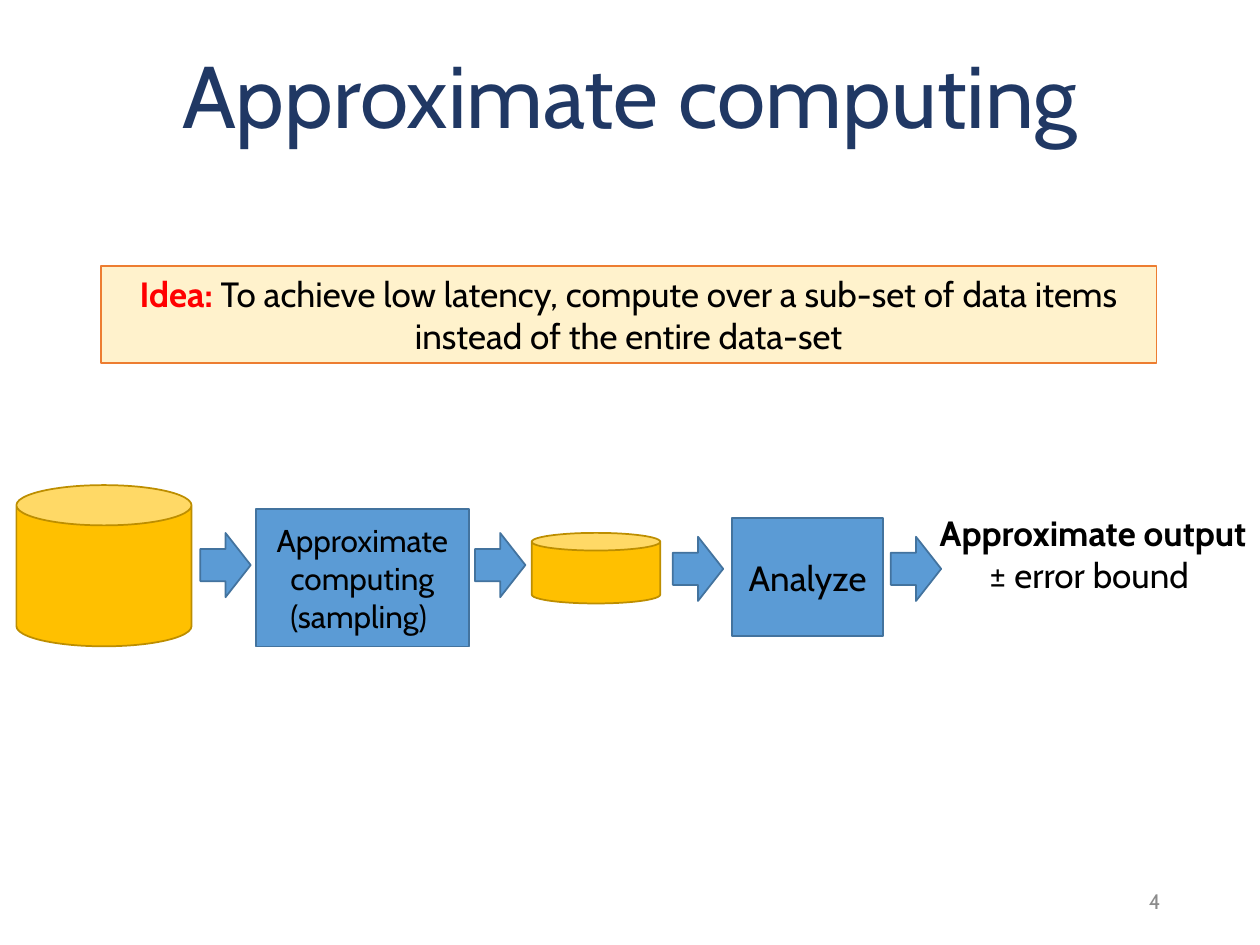
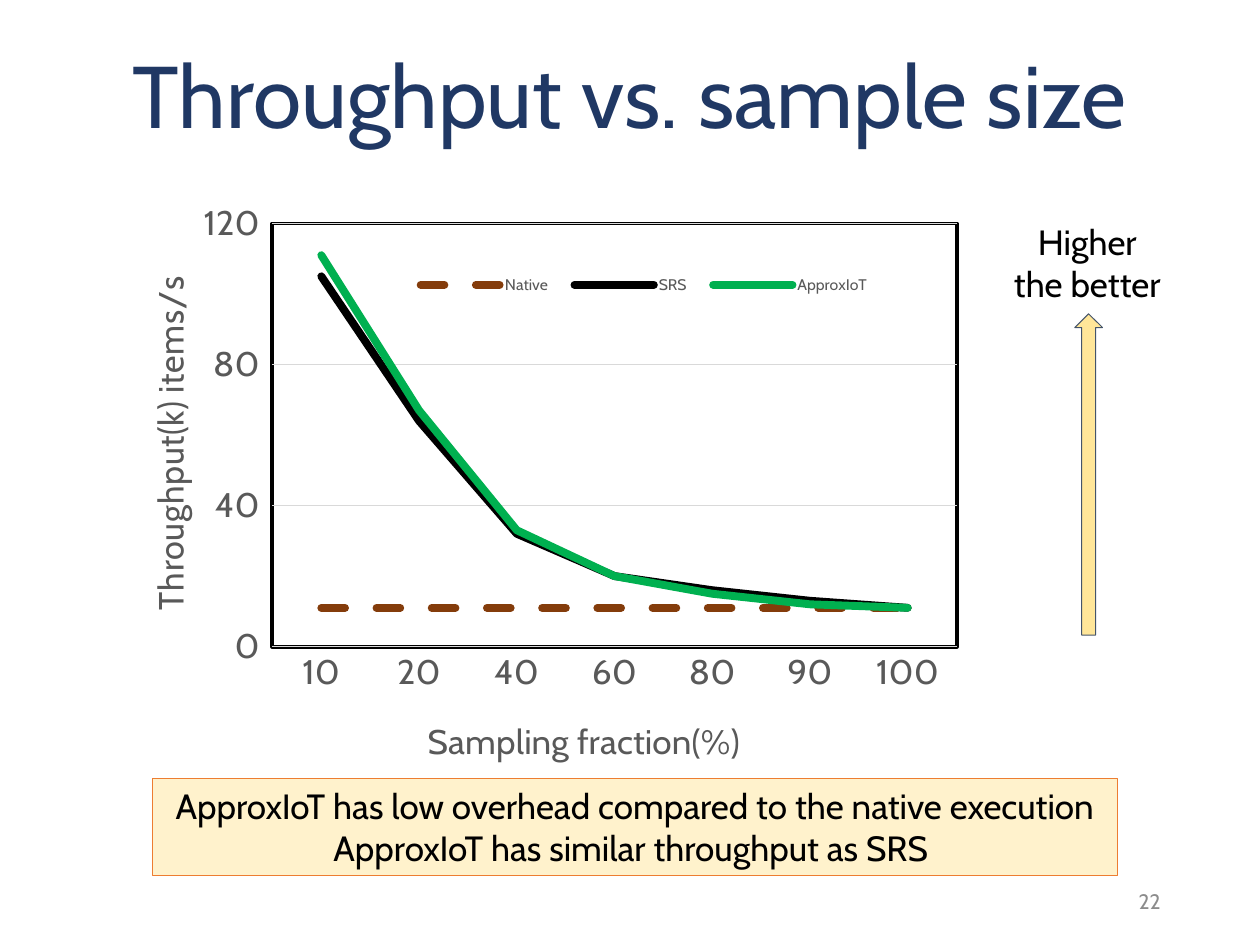
from lxml.etree import SubElement
from pptx import Presentation
from pptx.chart.data import CategoryChartData
from pptx.dml.color import RGBColor
from pptx.enum.chart import XL_CHART_TYPE as ChartType, XL_LEGEND_POSITION as LegendPosition, XL_TICK_MARK as TickMark
from pptx.enum.dml import MSO_LINE as Dash
from pptx.enum.shapes import MSO_SHAPE as Shape
from pptx.enum.text import MSO_ANCHOR as Anchor, PP_ALIGN as Align
from pptx.oxml import parse_xml
from pptx.oxml.ns import nsdecls, qn
from pptx.util import Inches, Pt

COLUMNS, ROWS = 20, 15
WIDTH, HEIGHT = Inches(10), Inches(7.5)
FONT = "Cabin"
BLACK, NAVY, RED, GREY, AXIS_GREY = "000000", "203864", "FF0000", "8C8C8C", "595959"
BLUE, BLUE_EDGE, GOLD, GOLD_EDGE = "5B9BD5", "43739E", "FFC000", "BD8E00"
CREAM, ORANGE, SAND, SLATE = "FFF2CC", "ED7D31", "FFE699", "44546A"
GRID_GREY, BROWN, GREEN = "D9D9D9", "843C0B", "00B050"


def color(value):
    return RGBColor.from_string(value)


def grid(left, top, width, height):
    column, row = WIDTH / COLUMNS, HEIGHT / ROWS
    return [round(n * unit) for n, unit in zip((left, top, width, height), (column, row) * 2)]


def style(font, size, tint, bold=False):
    font.name = FONT
    font.size = Pt(size)
    font.bold = bold
    font.color.rgb = color(tint)


def write(box, paragraphs, size=20, tint=BLACK, align=Align.CENTER, anchor=Anchor.MIDDLE, wrap=True):
    frame = box.text_frame
    frame.word_wrap = wrap
    frame.vertical_anchor = anchor
    frame.text = "\n".join(paragraphs)
    for para in frame.paragraphs:
        para.alignment = align
        for span in para.runs:
            style(span.font, size, tint)
    return frame


def add_lead(para, lead, tint):
    rest = para.text.removeprefix(lead)
    para.text = lead
    style(para.runs[0].font, 20, tint, bold=True)
    span = para.add_run()
    span.text = rest
    style(span.font, 20, BLACK)


def add_text(page, place, paragraphs, **look):
    return write(page.shapes.add_textbox(*grid(*place)), paragraphs, **look)


def add_block(page, kind, place, fill, edge, weight=1):
    block = page.shapes.add_shape(kind, *grid(*place))
    block.shadow.inherit = False
    block.fill.solid()
    block.fill.fore_color.rgb = color(fill)
    block.line.color.rgb = color(edge)
    block.line.width = Pt(weight)
    return block


def add_callout(page, place, paragraphs, weight):
    callout = add_block(page, Shape.RECTANGLE, place, CREAM, ORANGE, weight)
    return write(callout, paragraphs, anchor=Anchor.TOP)


def add_page(deck, title, number):
    page = deck.slides.add_slide(deck.slide_layouts[6])
    heading = add_text(page, (1.38, 0.6, 17.24, 1.98), [title], size=50, tint=NAVY)
    heading.paragraphs[0].line_spacing = 0.9
    add_text(page, (14.12, 13.9, 4.5, 0.8), [number], size=12, tint=GREY, align=Align.RIGHT)
    return page


def set_layout(element, index, target=None, **shares):
    for old in element.findall(qn("c:layout")):
        element.remove(old)
    layout = parse_xml(f"<c:layout {nsdecls('c')}><c:manualLayout/></c:layout>")
    manual = layout[0]
    if target:
        SubElement(manual, qn("c:layoutTarget")).set("val", target)
    for name in ("x", "y"):
        SubElement(manual, qn(f"c:{name}Mode")).set("val", "edge")
    for name, share in shares.items():
        SubElement(manual, qn(f"c:{name}")).set("val", str(share))
    element.insert(index, layout)


def style_axis(axis, title, x, y, rotation):
    style(axis.tick_labels.font, 20, AXIS_GREY)
    frame = axis.axis_title.text_frame
    frame.text = title
    style(frame.paragraphs[0].runs[0].font, 20, AXIS_GREY)
    body = frame._txBody.bodyPr
    body.set("rot", str(rotation * 60000))
    body.set("vert", "horz")
    set_layout(axis.axis_title._element, 1, x=x, y=y)


def style_series(series, tint):
    line = series.format.line
    line.color.rgb = color(tint)
    line.width = Pt(4.5)
    series.smooth = False
    if series.name == "Native":
        line.dash_style = Dash.DASH
    series._element.xpath("./c:spPr/a:ln")[0].set("cap", "rnd")


def frame_plot(chart):
    area = chart._chartSpace.chart.plotArea
    set_layout(area, 0, "inner", x=0.223, y=0.085, w=0.63, h=0.725)
    area.append(parse_xml(
        f'<c:spPr {nsdecls("c", "a")}><a:noFill/><a:ln w="{Pt(2.25)}"><a:solidFill>'
        f'<a:srgbClr val="{BLACK}"/></a:solidFill></a:ln></c:spPr>'))


def add_throughput_chart(page, place):
    data = CategoryChartData()
    data.categories = ["10", "20", "40", "60", "80", "90", "100"]
    data.add_series("Native", [11] * 7)
    data.add_series("SRS", [105, 64, 32, 20, 16, 13, 11])
    data.add_series("ApproxIoT", [111, 67, 33, 20, 15, 12, 11])
    chart = page.shapes.add_chart(ChartType.LINE, *grid(*place), data).chart
    style(chart.font, 10, BLACK)
    chart.has_title = False
    chart.plots[0].vary_by_categories = False
    for series, tint in zip(chart.plots[0].series, (BROWN, BLACK, GREEN)):
        style_series(series, tint)

    fractions, rates = chart.category_axis, chart.value_axis
    style_axis(fractions, "Sampling fraction(%)", 0.36, 0.92, 0)
    style_axis(rates, "Throughput(k) items/s", 0.1, 0.18, -90)
    fractions.major_tick_mark = TickMark.NONE
    rates.major_tick_mark = TickMark.OUTSIDE
    rates.minimum_scale, rates.maximum_scale, rates.major_unit = 0, 120, 40
    rates.format.line.fill.background()
    for line in (fractions.format.line, rates.major_gridlines.format.line):
        line.color.rgb = color(GRID_GREY)
        line.width = Pt(0.75)

    chart.has_legend = True
    chart.legend.position = LegendPosition.RIGHT
    chart.legend.include_in_layout = False
    style(chart.legend.font, 9, AXIS_GREY)
    set_layout(chart.legend._element, 1, x=0.34, y=0.16, w=0.45, h=0.06)
    frame_plot(chart)


def build_pipeline(deck):
    page = add_page(deck, "Approximate computing", "4")
    idea = add_callout(page, (1.6, 4.22, 16.76, 1.54), [
        "Idea: To achieve low latency, compute over a sub-set of data items instead of the entire data-set"], 1)
    add_lead(idea.paragraphs[0], "Idea: ", RED)
    steps = [
        ((4.06, 8.08, 3.38, 2.18), ["Approximate computing", "(sampling) "], 18),
        ((11.62, 8.22, 2.4, 1.88), ["Analyze"], 20),
    ]
    for place, label, size in steps:
        write(add_block(page, Shape.RECTANGLE, place, BLUE, BLUE_EDGE), label, size=size)
    output = add_text(page, (14.54, 7.96, 5.62, 1.64), ["Approximate output ± error bound "])
    add_lead(output.paragraphs[0], "Approximate output ", BLACK)
    for left, top in ((3.18, 8.46), (7.54, 8.46), (10.68, 8.52), (14.14, 8.52)):
        add_block(page, Shape.RIGHT_ARROW, (left, top, 0.8, 1.02), BLUE, BLUE_EDGE)
    for data_store in ((0.26, 7.7, 2.78, 2.56), (8.44, 8.46, 2.04, 1.12)):
        add_block(page, Shape.CAN, data_store, GOLD, GOLD_EDGE)


def build_throughput(deck):
    page = add_page(deck, "Throughput vs. sample size", "22")
    add_throughput_chart(page, (0.48, 2.76, 17.24, 9.52))
    add_text(page, (15.86, 3.4, 2.8, 1.54), ["Higher", "the better"], anchor=Anchor.TOP, wrap=False)
    add_block(page, Shape.UP_ARROW, (17.06, 4.98, 0.44, 5.1), SAND, SLATE, 0.5)
    add_callout(page, (2.42, 12.36, 15.32, 1.54), [
        "ApproxIoT has low overhead compared to the native execution",
        "ApproxIoT has similar throughput as SRS "], 0.5)


def main():
    deck = Presentation()
    deck.slide_width, deck.slide_height = WIDTH, HEIGHT
    build_pipeline(deck)
    build_throughput(deck)
    deck.save("out.pptx")


if __name__ == "__main__":
    main()
